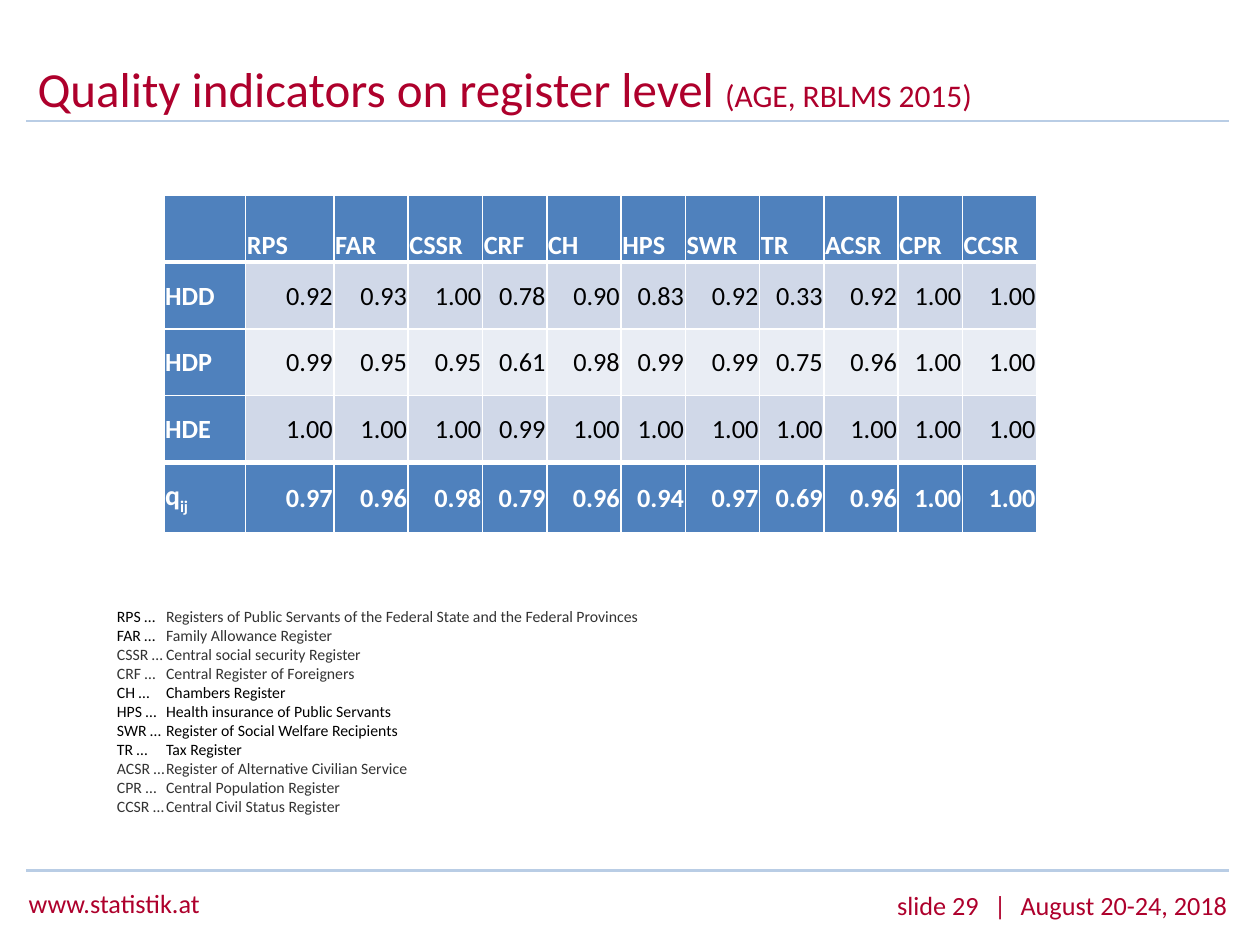
from dataclasses import dataclass

from lxml import etree
from pptx import Presentation
from pptx import util as u
from pptx.dml.color import RGBColor
from pptx.enum import shapes, text
from pptx.oxml import ns


@dataclass(frozen=True)
class Theme:
    font: str = "Calibri"
    red: str = "AE002C"
    rule: str = "B9CDE5"
    blue: str = "4F81BD"
    band_dark: str = "D0D8E8"
    band_light: str = "E9EDF4"
    white: str = "FFFFFF"
    black: str = "000000"
    grey: str = "333333"
    title_size: int = 28
    subtitle_size: int = 18
    body_size: int = 15
    symbol_size: int = 16
    legend_size: int = 9
    thin: float = 1
    thick: float = 3
    rule_width: float = 1.5


THEME = Theme()


@dataclass(frozen=True)
class Piece:
    wording: str
    size: float
    color: str
    bold: bool = False
    baseline: int = 0


@dataclass(frozen=True)
class Box:
    left: float
    top: float
    width: float
    height: float


@dataclass(frozen=True)
class Register:
    code: str
    name: str
    column_width: float
    scores: tuple[str, ...]
    code_color: str = THEME.black
    name_color: str = THEME.black


GREY = {"code_color": THEME.grey, "name_color": THEME.grey}
REGISTERS = [
    Register("RPS", "Registers of Public Servants of the Federal State and the Federal Provinces",
             0.70, ("0.92", "0.99", "1.00", "0.97"), name_color=THEME.grey),
    Register("FAR", "Family Allowance Register",
             0.59, ("0.93", "0.95", "1.00", "0.96"), name_color=THEME.grey),
    Register("CSSR", "Central social security Register",
             0.59, ("1.00", "0.95", "1.00", "0.98"), **GREY),
    Register("CRF", "Central Register of Foreigners",
             0.51, ("0.78", "0.61", "0.99", "0.79"), **GREY),
    Register("CH", "Chambers Register", 0.59, ("0.90", "0.98", "1.00", "0.96")),
    Register("HPS", "Health insurance of Public Servants",
             0.51, ("0.83", "0.99", "1.00", "0.94")),
    Register("SWR", "Register of Social Welfare Recipients",
             0.59, ("0.92", "0.99", "1.00", "0.97")),
    Register("TR", "Tax Register", 0.51, ("0.33", "0.75", "1.00", "0.69")),
    Register("ACSR", "Register of Alternative Civilian Service",
             0.59, ("0.92", "0.96", "1.00", "0.96"), **GREY),
    Register("CPR", "Central Population Register",
             0.51, ("1.00", "1.00", "1.00", "1.00"), **GREY),
    Register("CCSR", "Central Civil Status Register",
             0.59, ("1.00", "1.00", "1.00", "1.00"), **GREY),
]
INDICATORS = ["HDD", "HDP", "HDE"]
LABEL_WIDTH = 0.65
ROW_HEIGHTS = [0.53, 0.53, 0.53, 0.53, 0.56]


def add_pieces(paragraph, pieces: list[Piece]) -> None:
    for piece in pieces:
        run = paragraph.add_run()
        run.text = piece.wording
        formats = {"name": THEME.font, "size": u.Pt(piece.size), "bold": piece.bold}
        for attribute, value in formats.items():
            setattr(run.font, attribute, value)
        run.font.color.rgb = RGBColor.from_string(piece.color)
        if piece.baseline:
            run.font._element.set("baseline", str(piece.baseline * 1000))


def add_tabs(paragraph, stops: list[float]) -> None:
    tab_list = etree.SubElement(paragraph._p.get_or_add_pPr(), ns.qn("a:tabLst"))
    for stop in stops:
        etree.SubElement(tab_list, ns.qn("a:tab"), pos=str(u.Inches(stop)), algn="l")


def add_text(slide, box: Box, lines: list[list[Piece]], stops: list[float] | None = None,
             **frame_formats):
    shape = slide.shapes.add_textbox(*map(u.Inches, (box.left, box.top, box.width, box.height)))
    frame = shape.text_frame
    for attribute, value in {"word_wrap": True, **frame_formats}.items():
        setattr(frame, attribute, value)
    for index, pieces in enumerate(lines):
        paragraph = frame.add_paragraph() if index else frame.paragraphs[0]
        if stops:
            add_tabs(paragraph, stops)
        add_pieces(paragraph, pieces)
    return shape


def add_rule(slide, top: float) -> None:
    line = slide.shapes.add_connector(
        shapes.MSO_CONNECTOR.STRAIGHT,
        u.Inches(0.21), u.Inches(top), u.Inches(9.75), u.Inches(top))
    line.line.color.rgb = RGBColor.from_string(THEME.rule)
    line.line.width = u.Pt(THEME.rule_width)
    etree.SubElement(line._element.spPr, ns.qn("a:effectLst"))


def set_borders(cell, top: float, bottom: float) -> None:
    widths = {"lnL": THEME.thin, "lnR": THEME.thin, "lnT": top, "lnB": bottom}
    properties = cell._tc.get_or_add_tcPr()
    for index, (side, width) in enumerate(widths.items()):
        border = etree.Element(ns.qn(f"a:{side}"), w=str(u.Pt(width)))
        fill = etree.SubElement(border, ns.qn("a:solidFill"))
        etree.SubElement(fill, ns.qn("a:srgbClr"), val=THEME.white)
        properties.insert(index, border)


def format_cell(cell, pieces: list[Piece], fill: str, is_header: bool, is_score: bool) -> None:
    formats = {
        "margin_left": u.Inches(0.01), "margin_right": u.Inches(0.01),
        "margin_top": u.Inches(0.01), "margin_bottom": 0,
        "vertical_anchor": text.MSO_ANCHOR.BOTTOM if is_header else text.MSO_ANCHOR.MIDDLE,
    }
    for attribute, value in formats.items():
        setattr(cell, attribute, value)
    cell.fill.solid()
    cell.fill.fore_color.rgb = RGBColor.from_string(fill)
    paragraph = cell.text_frame.paragraphs[0]
    paragraph.alignment = text.PP_ALIGN.RIGHT if is_score else text.PP_ALIGN.LEFT
    add_pieces(paragraph, pieces)


def add_score_table(slide) -> None:
    widths = [LABEL_WIDTH] + [register.column_width for register in REGISTERS]
    last_row = len(ROW_HEIGHTS) - 1
    table = slide.shapes.add_table(
        len(ROW_HEIGHTS), len(widths), u.Inches(1.3), u.Inches(1.55),
        u.Inches(sum(widths)), u.Inches(sum(ROW_HEIGHTS))).table
    for column, width in zip(table.columns, widths):
        column.width = u.Inches(width)

    def strong(wording: str) -> list[Piece]:
        return [Piece(wording, THEME.body_size, THEME.white, True)]

    symbol = [Piece("q", THEME.symbol_size, THEME.white, True),
              Piece("ij", THEME.symbol_size, THEME.white, True, -25)]
    labels = [[], *map(strong, INDICATORS), symbol]
    for row, height in enumerate(ROW_HEIGHTS):
        table.rows[row].height = u.Inches(height)
        is_edge = row in (0, last_row)
        band = THEME.band_dark if row % 2 else THEME.band_light
        top = THEME.thick if row in (1, last_row) else THEME.thin
        bottom = THEME.thick if row in (0, last_row - 1) else THEME.thin
        for column in range(len(widths)):
            if column == 0:
                pieces = labels[row]
            else:
                register = REGISTERS[column - 1]
                wording = register.scores[row - 1] if row else register.code
                pieces = strong(wording) if is_edge else [
                    Piece(wording, THEME.body_size, THEME.black)]
            cell = table.cell(row, column)
            fill = THEME.blue if is_edge or column == 0 else band
            format_cell(cell, pieces, fill, row == 0, row > 0 and column > 0)
            set_borders(cell, top, bottom)


def main() -> None:
    presentation = Presentation()
    presentation.slide_width, presentation.slide_height = u.Inches(10), u.Inches(7.5)
    slide = presentation.slides.add_slide(presentation.slide_layouts[6])

    add_text(slide, Box(0.13, 6.99, 2.27, 0.35),
             [[Piece("www.statistik.at", THEME.body_size, THEME.red)]])
    add_text(slide, Box(5.68, 7.01, 4.16, 0.35),
             [[Piece("slide 29\t|\tAugust 20-24, 2018", THEME.body_size, THEME.red)]],
             stops=[0.77, 0.98], margin_left=u.Inches(1.44), margin_right=0)
    for top in (0.96, 6.91):
        add_rule(slide, top)
    title = add_text(slide, Box(0.2, 0.46, 7.63, 0.52),
                     [[Piece("Quality indicators on register level ", THEME.title_size, THEME.red),
                       Piece("(AGE, RBLMS 2015)", THEME.subtitle_size, THEME.red)]],
                     vertical_anchor=text.MSO_ANCHOR.MIDDLE)
    title.text_frame.paragraphs[0].line_spacing = u.Pt(30)
    add_score_table(slide)
    add_text(slide, Box(0.83, 4.77, 4.57, 1.77),
             [[Piece(f"{register.code} …\t", THEME.legend_size, register.code_color),
               Piece(register.name, THEME.legend_size, register.name_color)]
              for register in REGISTERS], stops=[0.39])
    presentation.save("out.pptx")


if __name__ == "__main__":
    main()
